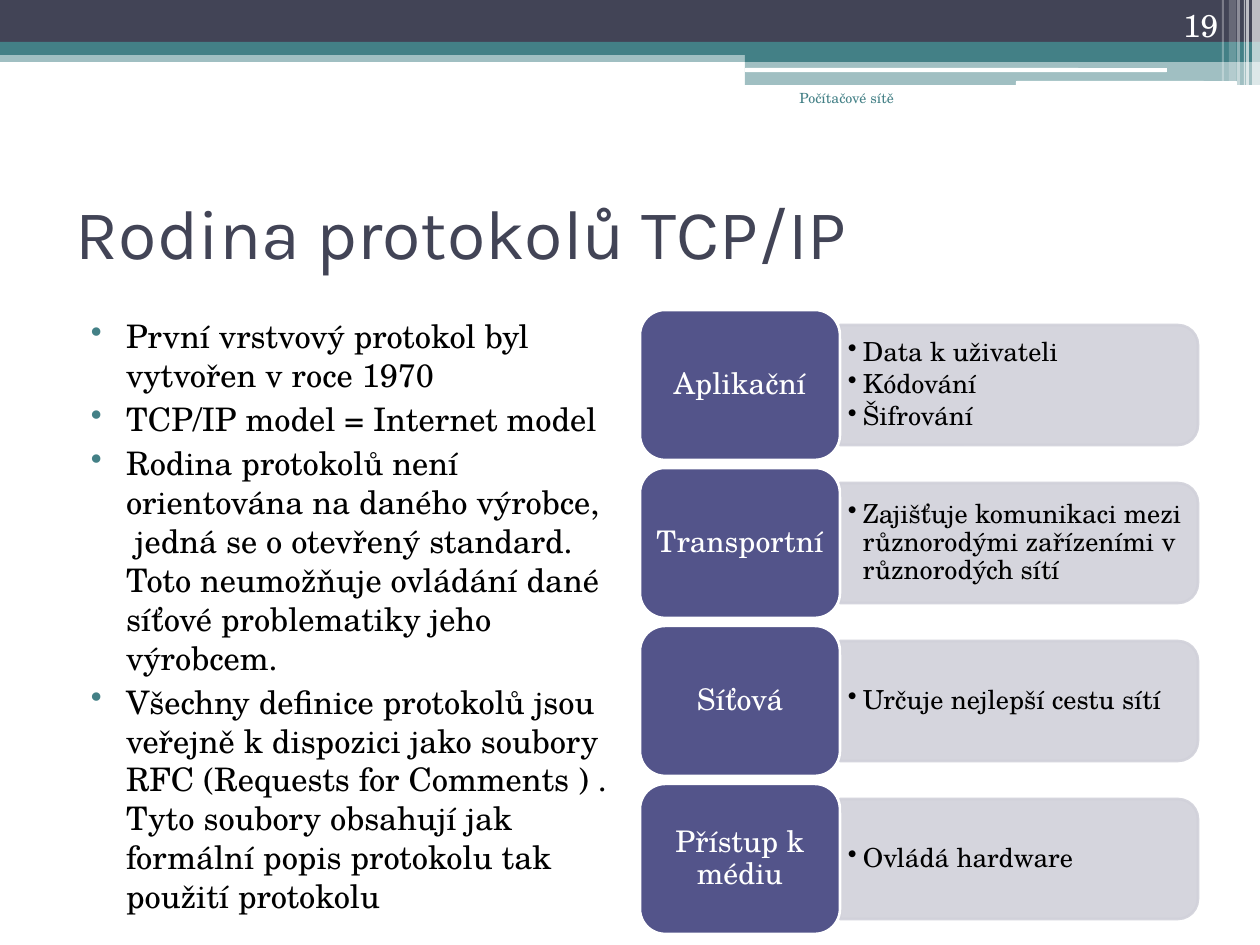
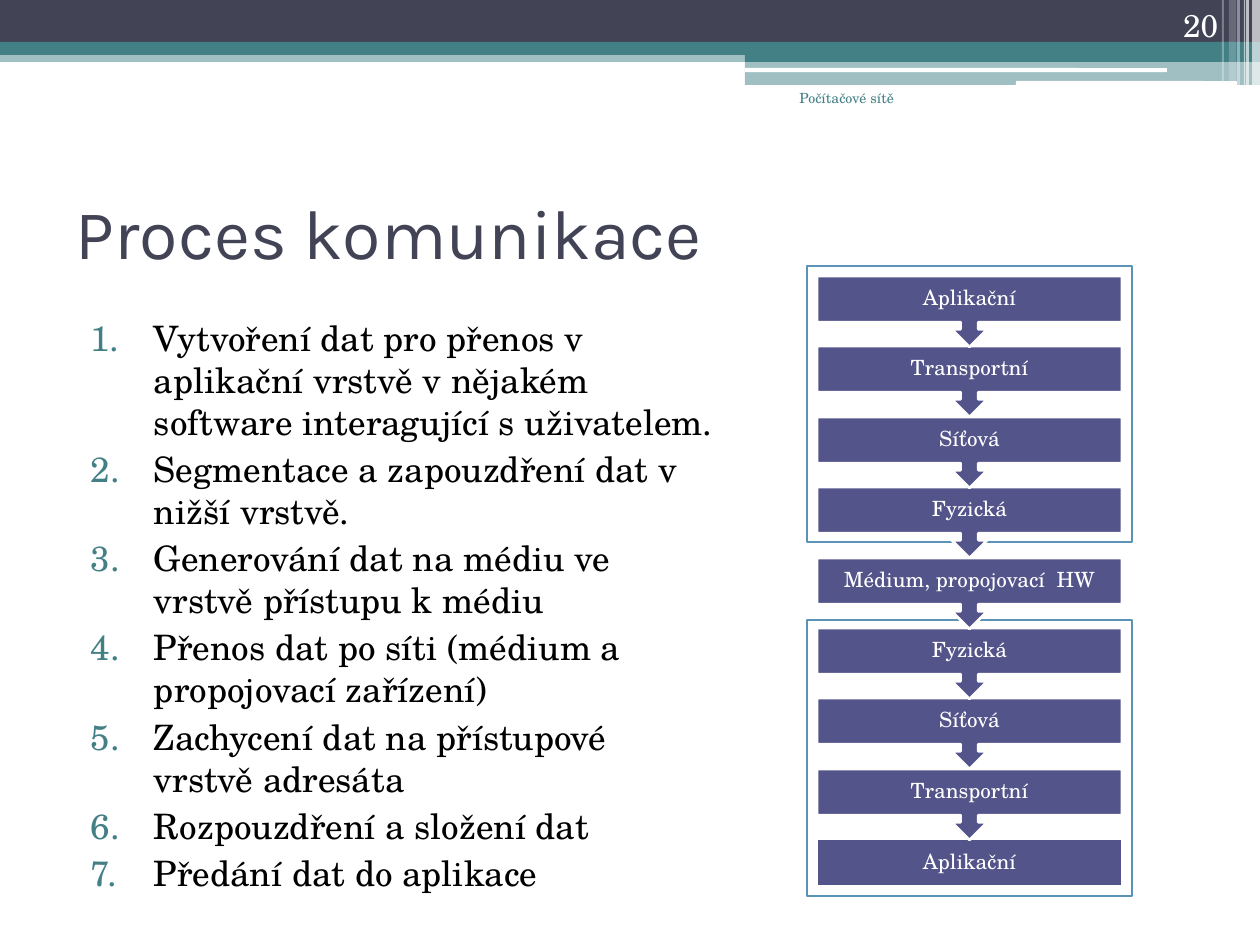
from dataclasses import dataclass

from lxml.etree import SubElement
from pptx import Presentation
from pptx.dml.color import RGBColor
from pptx.enum.shapes import MSO_SHAPE
from pptx.enum.text import MSO_ANCHOR, PP_ALIGN
from pptx.oxml.ns import qn
from pptx.util import Emu, Pt


@dataclass(frozen=True)
class Theme:
    navy: str = "424456"
    teal: str = "438086"
    violet: str = "53548A"
    panel: str = "D1D1DA"
    frame: str = "5C92B5"
    white: str = "FFFFFF"
    black: str = "000000"
    title_font: str = "Karla"
    body_font: str = "TeX Gyre Schola"
    title_size: float = 40
    steps_size: float = 20
    facts_size: float = 18.5
    number_size: float = 18
    layer_size: float = 17
    detail_size: float = 15
    flow_size: float = 12
    footer_size: float = 8
    line_width: float = 1.5


THEME = Theme()
PX_PER_INCH = 126
PAGE_WIDTH, PAGE_HEIGHT = 1260, 945

# left, top, width, height, colour, opacity in percent
HEADER_BANDS = [
    (0, 50, 1260, 12, THEME.teal, 50),
    (0, 0, 1260, 42, THEME.navy, 100),
    (0, 42, 1260, 13, THEME.teal, 100),
    (745, 49, 515, 13, THEME.teal, 100),
    (745, 62, 515, 23, THEME.teal, 50),
]
HEADER_RULES = [(745, 68, 422, 4), (1016, 81, 221, 5)]
# left, width, height, opacity in percent
HEADER_STRIPES = [
    (1252, 8, 85, 65), (1246, 3, 85, 65), (1244, 1, 85, 60),
    (1237, 3, 85, 40), (1229, 7, 81, 20), (1222, 2, 81, 30),
]

FACTS = [
    "První vrstvový protokol byl vytvořen v roce 1970",
    "TCP/IP model = Internet model",
    "Rodina protokolů není orientována na daného výrobce,  jedná se o otevřený "
    "standard. Toto neumožňuje ovládání dané síťové problematiky jeho výrobcem.",
    "Všechny definice protokolů jsou veřejně k dispozici jako soubory RFC "
    "(Requests for Comments ) . Tyto soubory obsahují jak formální popis "
    "protokolu tak použití protokolu",
]
LAYERS = [
    ("Aplikační", ["Data k uživateli", "Kódování", "Šifrování"]),
    ("Transportní", ["Zajišťuje komunikaci mezi různorodými zařízeními v různorodých sítí"]),
    ("Síťová", ["Určuje nejlepší cestu sítí"]),
    ("Přístup k médiu", ["Ovládá hardware"]),
]
STEPS = [
    "Vytvoření dat pro přenos v aplikační vrstvě v nějakém software "
    "interagující s uživatelem.",
    "Segmentace a zapouzdření dat v nižší vrstvě.",
    "Generování dat na médiu ve vrstvě přístupu k médiu",
    "Přenos dat po síti (médium a propojovací zařízení)",
    "Zachycení dat na přístupové vrstvě adresáta",
    "Rozpouzdření a složení dat",
    "Předání dat do aplikace",
]
SENDER = ["Aplikační", "Transportní", "Síťová", "Fyzická"]
FLOW = SENDER + ["Médium, propojovací  HW"] + SENDER[::-1]


def px(length):
    return Emu(round(length * 914400 / PX_PER_INCH))


def set_opacity(color_format_owner, percent):
    """Add an alpha value to the solid colour inside a fill or line element."""
    color = color_format_owner.find(".//" + qn("a:srgbClr"))
    SubElement(color, qn("a:alpha"), val=str(percent * 1000))


def add_block(page, kind, left, top, width, height, fill, line=None, opacity=100):
    block = page.shapes.add_shape(kind, px(left), px(top), px(width), px(height))
    block.shadow.inherit = False
    block.fill.solid()
    block.fill.fore_color.rgb = RGBColor.from_string(fill)
    if line:
        block.line.color.rgb = RGBColor.from_string(line)
        block.line.width = Pt(THEME.line_width)
    else:
        block.line.fill.background()
    if opacity < 100:
        set_opacity(block.fill._xPr, opacity)
    return block


def write(shape, texts, size, color, font=THEME.body_font, align=PP_ALIGN.LEFT,
          anchor=MSO_ANCHOR.TOP, insets=(13, 6), line_spacing=None):
    """Fill a shape with one paragraph per text and return the paragraphs."""
    frame = shape.text_frame
    frame.word_wrap = True
    frame.vertical_anchor = anchor
    frame.margin_left = frame.margin_right = px(insets[0])
    frame.margin_top = frame.margin_bottom = px(insets[1])
    frame.text = "\n".join(texts)
    for para in frame.paragraphs:
        para.alignment = align
        if line_spacing:
            para.line_spacing = line_spacing
        for span in para.runs:
            span.font.name = font
            span.font.size = Pt(size)
            span.font.color.rgb = RGBColor.from_string(color)
    return frame.paragraphs


def add_text(page, left, top, width, height, texts, size, color, **style):
    box = page.shapes.add_textbox(px(left), px(top), px(width), px(height))
    return write(box, texts, size, color, **style)


def set_bullet(para, margin, hanging, color=None, numbered=False):
    properties = para._p.get_or_add_pPr()
    properties.set("marL", str(px(margin)))
    properties.set("indent", str(-px(hanging)))
    if color:
        SubElement(SubElement(properties, qn("a:buClr")), qn("a:srgbClr"), val=color)
    if numbered:
        SubElement(properties, qn("a:buAutoNum"), type="arabicPeriod")
    else:
        SubElement(properties, qn("a:buChar"), char="•")


def add_header(page):
    for left, top, width, height, color, opacity in HEADER_BANDS:
        add_block(page, MSO_SHAPE.RECTANGLE, left, top, width, height, color,
                  opacity=opacity)
    for rule in HEADER_RULES:
        add_block(page, MSO_SHAPE.ROUNDED_RECTANGLE, *rule, THEME.white)
    for left, width, height, opacity in HEADER_STRIPES:
        add_block(page, MSO_SHAPE.RECTANGLE, left, 0, width, height, THEME.white,
                  opacity=opacity)


def add_page(deck, title, number):
    """Add a page with the shared header, title, footer and page number."""
    page = deck.slides.add_slide(deck.slide_layouts[6])
    add_header(page)
    add_text(page, 63, 158, 1134, 147, [title], THEME.title_size, THEME.navy,
             font=THEME.title_font, anchor=MSO_ANCHOR.MIDDLE)
    add_text(page, 724, 84, 183, 63, ["Počítačové sítě"], THEME.footer_size,
             THEME.teal, align=PP_ALIGN.RIGHT)
    add_text(page, 1126, 0, 105, 50, [str(number)], THEME.number_size,
             THEME.white, align=PP_ALIGN.RIGHT, anchor=MSO_ANCHOR.BOTTOM)
    return page


def add_list(page, width, texts, size, margin, hanging, numbered=False):
    for para in add_text(page, 63, 310, width, 624, texts, size, THEME.black):
        para.space_before = Pt(3)
        set_bullet(para, margin, hanging, THEME.teal, numbered)


def add_layer(page, top, name, details):
    """Add a named layer block with its panel of details on the right."""
    block_left, block_width, block_height = 640, 200, 150
    panel_left, panel_width, panel_height = block_left + block_width, 358, 120
    middle = top + block_height // 2
    # The panel is a tall shape turned a quarter, so its rounded end faces right.
    panel = add_block(page, MSO_SHAPE.ROUND_2_SAME_RECTANGLE,
                      panel_left + (panel_width - panel_height) // 2,
                      middle - panel_width // 2, panel_height, panel_width,
                      THEME.panel, THEME.panel, opacity=90)
    panel.rotation = 90
    set_opacity(panel.line._get_or_add_ln(), 90)
    for para in add_text(page, panel_left, middle - 54, 354, 108, details,
                         THEME.detail_size, THEME.black, anchor=MSO_ANCHOR.MIDDLE,
                         insets=(8, 4), line_spacing=0.9):
        para.space_after = Pt(2.25)
        set_bullet(para, 15, 15)
    block = add_block(page, MSO_SHAPE.ROUNDED_RECTANGLE, block_left, top,
                      block_width, block_height, THEME.violet, THEME.white)
    write(block, [name], THEME.layer_size, THEME.white, align=PP_ALIGN.CENTER,
          anchor=MSO_ANCHOR.MIDDLE, insets=(8, 5), line_spacing=0.9)


def add_flow(page, names):
    """Stack the steps from the bottom up, so each arrow tip lies on the next step."""
    first_top, last_top = 276, 839
    last = len(names) - 1
    for index in range(last, -1, -1):
        top = first_top + round((last_top - first_top) * index / last)
        kind, height = MSO_SHAPE.DOWN_ARROW_CALLOUT, 71
        if index == last:
            kind, height = MSO_SHAPE.RECTANGLE, 47
        step = add_block(page, kind, 817, top, 305, height, THEME.violet, THEME.white)
        write(step, [names[index]], THEME.flow_size, THEME.white,
              align=PP_ALIGN.CENTER, anchor=MSO_ANCHOR.MIDDLE, insets=(11, 0),
              line_spacing=0.9)


def add_protocol_page(deck):
    page = add_page(deck, "Rodina protokolů TCP/IP", 19)
    add_list(page, 558, FACTS, THEME.facts_size, 50, 35)
    for row, (name, details) in enumerate(LAYERS):
        add_layer(page, 310 + 158 * row, name, details)


def add_process_page(deck):
    page = add_page(deck, "Proces komunikace", 20)
    for frame_top in (620, 266):
        add_block(page, MSO_SHAPE.RECTANGLE, 807, frame_top, 325, 276,
                  THEME.white, THEME.frame)
    add_list(page, 665, STEPS, THEME.steps_size, 78, 63, numbered=True)
    add_flow(page, FLOW)


def main():
    deck = Presentation()
    deck.slide_width, deck.slide_height = px(PAGE_WIDTH), px(PAGE_HEIGHT)
    add_protocol_page(deck)
    add_process_page(deck)
    deck.save("out.pptx")


if __name__ == "__main__":
    main()
